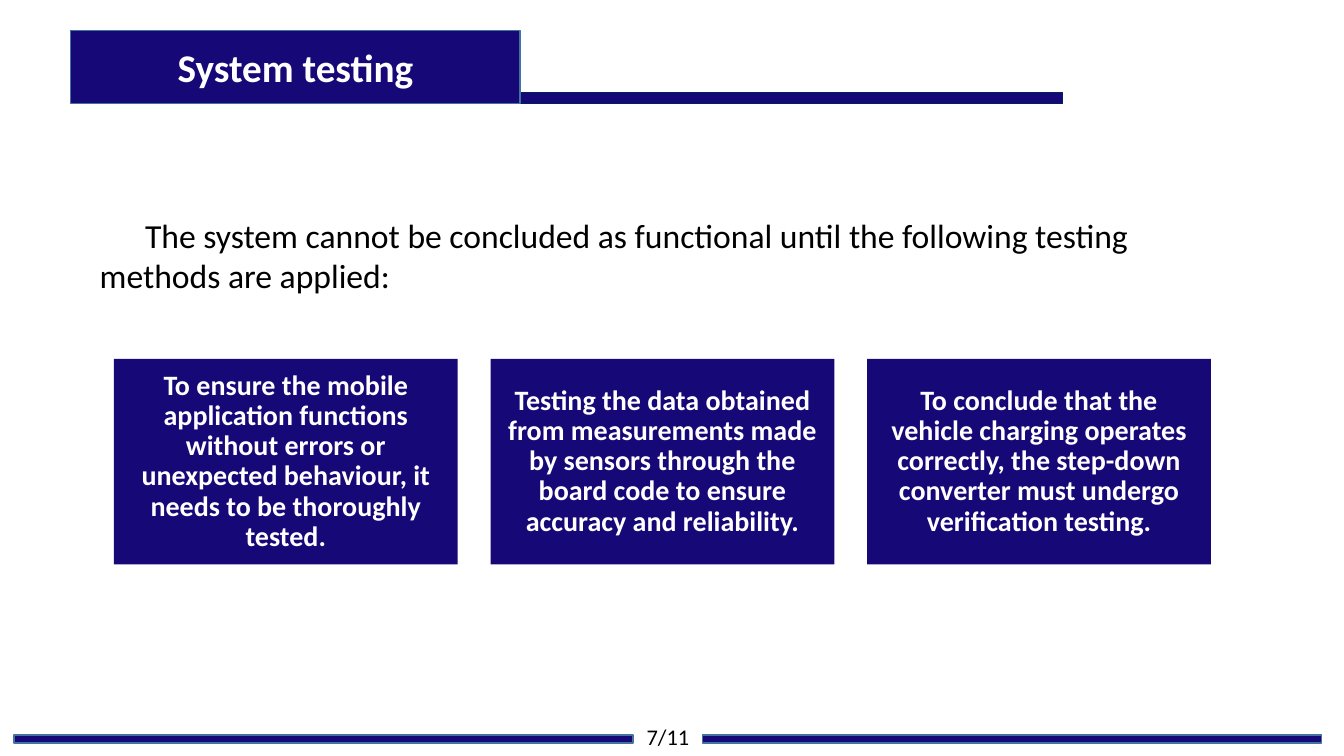
from pptx import Presentation
from pptx.dml.color import RGBColor
from pptx.enum.shapes import MSO_SHAPE as SHAPE
from pptx.enum.text import MSO_ANCHOR as ANCHOR, PP_ALIGN as ALIGN
from pptx.util import Inches, Pt

COLORS = {
    "navy": "160977",
    "rule_edge": "002060",
    "edge": "43739E",
    "white": "FFFFFF",
    "black": "000000",
}
FONT = "Calibri"
CARDS = [
    "To ensure the mobile application functions without errors or "
    "unexpected behaviour, it needs to be thoroughly tested.",
    "Testing the data obtained from measurements made by sensors through "
    "the board code to ensure accuracy and reliability.",
    "To conclude that the vehicle charging operates correctly, the step-down "
    "converter must undergo verification testing.",
]


def rgb(name):
    return RGBColor.from_string(COLORS[name])


def add_bar(s, x, y, w, h, edge=None):
    """Navy rectangle with an optional 1 pt outline."""
    sp = s.shapes.add_shape(SHAPE.RECTANGLE, Inches(x), Inches(y), Inches(w), Inches(h))
    sp.shadow.inherit = False
    sp.fill.solid()
    sp.fill.fore_color.rgb = rgb("navy")
    if edge:
        sp.line.color.rgb = rgb(edge)
        sp.line.width = Pt(1)
    else:
        sp.line.fill.background()
    return sp


def add_textbox(s, x, y, w, h):
    return s.shapes.add_textbox(Inches(x), Inches(y), Inches(w), Inches(h))


def write(sp, text, size, color="white", bold=False, align=ALIGN.CENTER,
          anchor=ANCHOR.MIDDLE, spacing=1.0, inset=None, indent=0):
    tf = sp.text_frame
    tf.word_wrap = True
    tf.vertical_anchor = anchor
    if inset is not None:
        tf.margin_left = tf.margin_right = Inches(inset)
        tf.margin_top = tf.margin_bottom = Inches(inset)
    p = tf.paragraphs[0]
    p.alignment = align
    p.line_spacing = spacing
    if indent:
        p._p.get_or_add_pPr().set("indent", str(Inches(indent)))
    r = p.add_run()
    r.text = text
    r.font.name = FONT
    r.font.size = Pt(size)
    r.font.bold = bold
    r.font.color.rgb = rgb(color)


def add_header(s, title, x, y, w, h):
    """Title tab with a rule running along its foot to the right."""
    rule_h = 0.11
    add_bar(s, x + 0.02, y + h - rule_h, w - 0.02, rule_h, edge="rule_edge")
    tab = add_bar(s, x, y, 4.46, h, edge="edge")
    write(tab, title, 28, bold=True)


def add_intro(s, text, x, y, w, h):
    write(add_textbox(s, x, y, w, h), text, 24, color="black",
          align=ALIGN.LEFT, anchor=ANCHOR.TOP, indent=0.45)


def add_cards(s, texts, x, y, w, h):
    """Row of equal cards spread evenly over the width."""
    card_w = 3.41
    pitch = (w - card_w) / (len(texts) - 1)
    for i, text in enumerate(texts):
        card = add_bar(s, x + i * pitch, y, card_w, h)
        write(card, text, 20, bold=True, spacing=0.9, inset=0.11)


def add_footer(s, page, x, y, w, h):
    """Page number between two thin bars."""
    bar_w, bar_y, bar_h = 6.14, y + 0.16, 0.08
    for bar_x in (x, x + w - bar_w):
        add_bar(s, bar_x, bar_y, bar_w, bar_h, edge="edge")
    number = add_textbox(s, x + bar_w, y, w - 2 * bar_w, h)
    write(number, page, 16, color="black", anchor=ANCHOR.TOP)


def main():
    prs = Presentation()
    prs.slide_width, prs.slide_height = Inches(13.33), Inches(7.5)
    s = prs.slides.add_slide(prs.slide_layouts[6])
    add_header(s, "System testing", 0.7, 0.3, 9.84, 0.73)
    add_footer(s, "7/11", 0.14, 7.13, 12.97, 0.37)
    add_intro(s, "The system cannot be concluded as functional until the "
              "following testing methods are applied:", 0.89, 2.08, 11.38, 0.91)
    add_cards(s, CARDS, 1.13, 3.56, 10.88, 2.04)
    prs.save("out.pptx")


if __name__ == "__main__":
    main()
